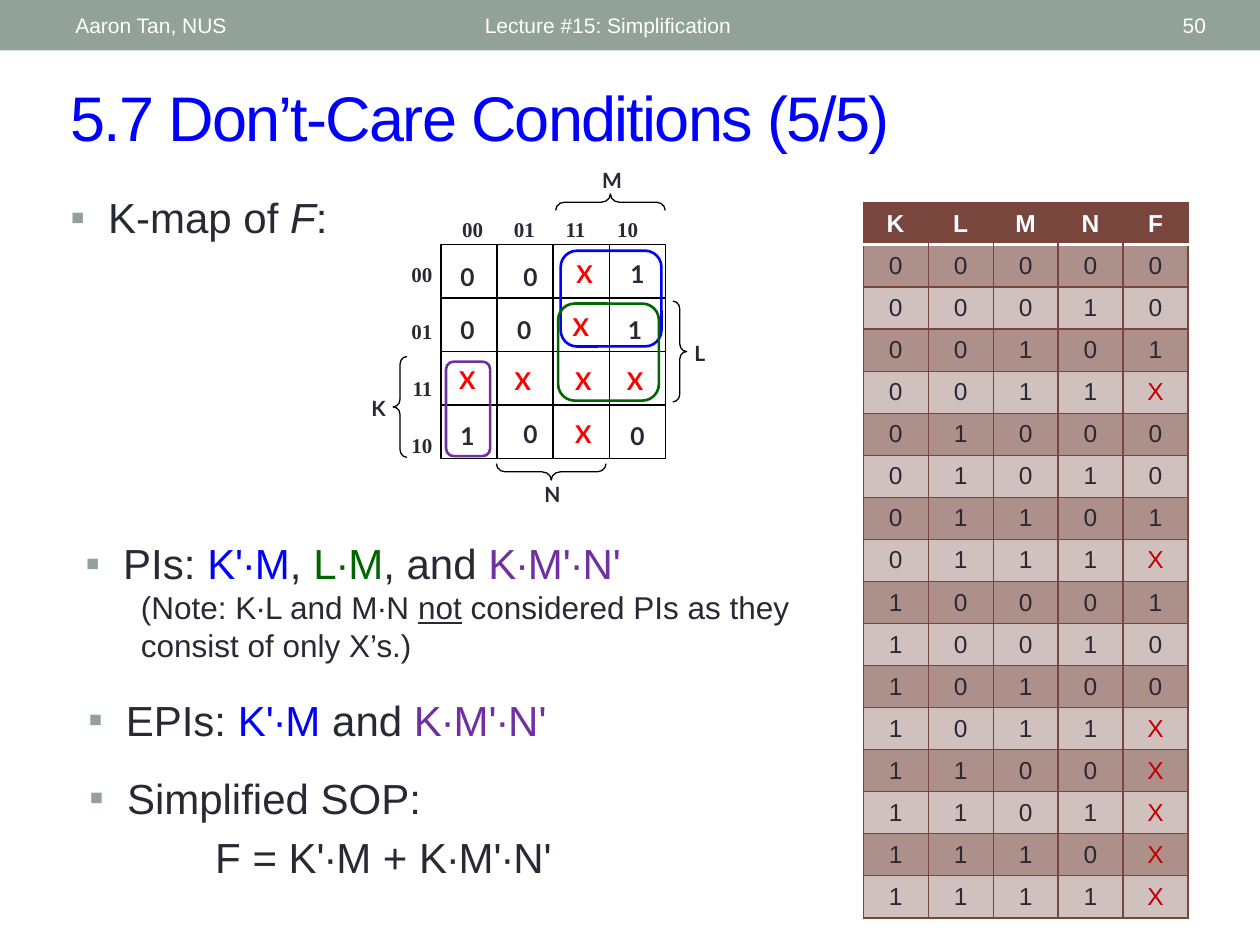
from itertools import product

from lxml import etree
from pptx import Presentation
from pptx.dml.color import RGBColor
from pptx.enum.shapes import MSO_CONNECTOR, MSO_SHAPE
from pptx.enum.text import MSO_ANCHOR, PP_ALIGN
from pptx.oxml import parse_xml
from pptx.oxml.ns import nsdecls, qn
from pptx.util import Inches, Pt

LEFT, CENTER, RIGHT = PP_ALIGN.LEFT, PP_ALIGN.CENTER, PP_ALIGN.RIGHT
TOP, MIDDLE = MSO_ANCHOR.TOP, MSO_ANCHOR.MIDDLE
RECTANGLE, ROUNDED, BRACE = MSO_SHAPE.RECTANGLE, MSO_SHAPE.ROUNDED_RECTANGLE, MSO_SHAPE.LEFT_BRACE
STRAIGHT = MSO_CONNECTOR.STRAIGHT
INK, WHITE, BLACK, SAGE, BROWN = "292934", "FFFFFF", "000000", "93A299", "79463D"
BLUE, GREEN, PURPLE, RED, DARK_RED = "0000FF", "006600", "7030A0", "FF0000", "C00000"
BAND_DARK, BAND_LIGHT = "AD908A", "D0C1BE"

prs = Presentation()
prs.slide_width, prs.slide_height = Inches(10), Inches(7.5)
slide = prs.slides.add_slide(prs.slide_layouts[6])
shapes = slide.shapes


def add_text(box, lines, size, font="Arial", align=LEFT, anchor=TOP, bold=False):
    frame = shapes.add_textbox(*map(Inches, box)).text_frame
    frame.word_wrap = True
    frame.vertical_anchor = anchor
    for number, segments in enumerate(lines):
        paragraph = frame.add_paragraph() if number else frame.paragraphs[0]
        paragraph.alignment = align
        for words, color in segments:
            run = paragraph.add_run()
            run.text = words
            run.font.size = Pt(size)
            run.font.name = font
            run.font.bold = bold
            run.font.color.rgb = RGBColor.from_string(color)
    return frame.paragraphs


def add_outline(kind, box, color, width, adjustment=None):
    outline = shapes.add_shape(kind, *map(Inches, box))
    outline.shadow.inherit = False
    outline.fill.background()
    outline.line.color.rgb = RGBColor.from_string(color)
    outline.line.width = Pt(width)
    if adjustment is not None:
        outline.adjustments[0] = adjustment
    return outline


header_bar = add_outline(RECTANGLE, (0, 0, 10, 0.4), SAGE, 0.75)
header_bar.fill.solid()
header_bar.fill.fore_color.rgb = RGBColor.from_string(SAGE)
header_bar.line.fill.background()
for words, left, width, align in [
    ("Aaron Tan, NUS", 0.5, 3.17, LEFT),
    ("Lecture #15: Simplification", 3.75, 4.5, LEFT),
    ("50", 8.72, 0.95, RIGHT),
]:
    add_text((left, 0.02, width, 0.36), [[(words, WHITE)]], 12, align=align, anchor=MIDDLE)

title = add_text((0.46, 0.57, 9.07, 0.7), [[("5.7 Don’t-Care Conditions (5/5)", BLUE)]], 36, anchor=MIDDLE)
title[0].runs[0].font._element.set("spc", "-100")

kmap_intro = add_text((0.46, 1.47, 3, 0.61), [[("K-map of ", INK), ("F", INK), (":", INK)]], 24)
kmap_intro[0].runs[1].font.italic = True
implicants = add_text((0.58, 4.22, 5.96, 1.25), [
    [("PIs: ", INK), ("K'∙M", BLUE), (", ", INK), ("L∙M", GREEN), (", and ", INK), ("K∙M'∙N'", PURPLE)],
    [("(Note: K∙L and M∙N ", INK), ("not", INK), (" considered PIs as they consist of only X’s.)", INK)],
], 24)
for run in implicants[1].runs:
    run.font.size = Pt(18)
implicants[1].runs[1].font.underline = True
implicants[1]._p.get_or_add_pPr().set("marL", str(Inches(0.44)))
essentials = add_text((0.6, 5.46, 5.69, 0.61), [
    [("EPIs: ", INK), ("K'∙M", BLUE), (" and ", INK), ("K∙M'∙N'", PURPLE)],
], 24)
simplified = add_text((0.61, 6.08, 5.69, 0.93), [
    [("Simplified SOP:", INK)], [("F = K'∙M + K∙M'∙N'", INK)],
], 24)
simplified[1].space_before = Pt(4.8)
simplified[1]._p.get_or_add_pPr().set("marL", str(Inches(1)))

for bulleted in (kmap_intro, implicants, essentials, simplified):
    properties = bulleted[0]._p.get_or_add_pPr()
    properties.set("marL", str(Inches(0.3)))
    properties.set("indent", str(Inches(-0.3)))
    bullet_color = etree.SubElement(properties, qn("a:buClr"))
    etree.SubElement(bullet_color, qn("a:srgbClr"), val=SAGE)
    etree.SubElement(properties, qn("a:buFont"), typeface="Arial")
    etree.SubElement(properties, qn("a:buChar"), char="▪")

outputs = "001X001X100XXXXX"
truth_rows = ["KLMNF"] + ["".join(bits) + out for bits, out in zip(product("01", repeat=4), outputs)]
truth_table = shapes.add_table(17, 5, Inches(6.85), Inches(1.61), Inches(2.58), Inches(5.1)).table
for r, values in enumerate(truth_rows):
    for c, value in enumerate(values):
        cell = truth_table.cell(r, c)
        cell.vertical_anchor = MIDDLE
        cell.fill.solid()
        band = BROWN if r == 0 else BAND_DARK if r % 2 else BAND_LIGHT
        cell.fill.fore_color.rgb = RGBColor.from_string(band)
        cell.text_frame.text = value
        paragraph = cell.text_frame.paragraphs[0]
        paragraph.alignment = CENTER
        font = paragraph.runs[0].font
        font.name, font.size, font.bold = "Arial", Pt(14), r == 0
        ink = WHITE if r == 0 else DARK_RED if value == "X" else INK
        font.color.rgb = RGBColor.from_string(ink)
        for position, side in enumerate("LRTB"):
            under_header = (r, side) in [(0, "B"), (1, "T")]
            color, width = (WHITE, 2.08) if under_header else (BROWN, 0.75)
            if r == 0 and (side == "L" and c > 0 or side == "R" and c < 4):
                width = 0
            cell._tc.get_or_add_tcPr().insert(position, parse_xml(
                f'<a:ln{side} {nsdecls("a")} w="{Pt(width)}"><a:solidFill>'
                f'<a:srgbClr val="{color}"/></a:solidFill></a:ln{side}>'))

map_left, map_top, map_width, map_height = 3.5, 1.94, 1.78, 1.7
kmap_frame = add_outline(RECTANGLE, (map_left, map_top, map_width, map_height), BLACK, 0.75)
for step in (1, 2, 3):
    x = map_left + step * map_width / 4
    y = map_top + step * map_height / 4
    for ends, sites in [
        ((x, map_top, x, map_top + map_height), (0, 2)),
        ((map_left, y, map_left + map_width, y), (1, 3)),
    ]:
        divider = shapes.add_connector(STRAIGHT, *map(Inches, ends))
        divider.line.color.rgb = RGBColor.from_string(BLACK)
        divider.line.width = Pt(0.75)
        etree.SubElement(divider._element.spPr, qn("a:effectLst"))
        if step == 2:
            divider.begin_connect(kmap_frame, sites[0])
            divider.end_connect(kmap_frame, sites[1])

for index, code in enumerate(["00", "01", "11", "10"]):
    add_text((3.57 + 0.41 * index, 1.67, 0.45, 0.34), [[(code, INK)]], 12, "Times New Roman", bold=True)
    add_text((3.09, 2.03 + 0.45 * index, 0.44, 0.3), [[(code, INK)]], 12, "Times New Roman", RIGHT, bold=True)

for value, left, top in [
    ("0", 3.49, 2.03), ("0", 3.99, 2.03), ("X", 4.42, 2.01), ("1", 4.84, 2.01),
    ("0", 3.49, 2.45), ("0", 3.94, 2.45), ("X", 4.39, 2.43), ("1", 4.82, 2.45),
    ("X", 3.49, 2.85), ("X", 3.93, 2.86), ("X", 4.41, 2.86), ("X", 4.82, 2.86),
    ("1", 3.49, 3.29), ("0", 3.99, 3.28), ("X", 4.41, 3.28), ("0", 4.84, 3.29),
]:
    color = RED if value == "X" else INK
    add_text((left, top, 0.44, 0.34), [[(value, color)]], 14, "Lato", CENTER, bold=True)

for variable, left, top, brace_box, rotation, flip in [
    ("K", 2.84, 3.09, (3.12, 2.83, 0.11, 0.8), 0, None),
    ("L", 5.39, 2.65, (5.34, 2.39, 0.11, 0.8), 0, "flipH"),
    ("M", 4.68, 1.28, (4.78, 1.17, 0.13, 0.87), 90, "flipV"),
    ("N", 4.22, 3.77, (4.31, 3.31, 0.13, 0.87), 270, None),
]:
    add_text((left, top, 0.33, 0.27), [[(variable, INK)]], 12, "Lato", CENTER, bold=True)
    brace = add_outline(BRACE, brace_box, BLACK, 0.75, 0.55)
    brace.rotation = rotation
    if flip:
        brace._element.spPr.find(qn("a:xfrm")).set(flip, "1")

for group_box, color in [
    ((4.45, 1.99, 0.8, 0.76), BLUE),
    ((3.54, 2.87, 0.35, 0.75), PURPLE),
    ((4.43, 2.41, 0.8, 0.77), GREEN),
]:
    add_outline(ROUNDED, group_box, color, 1.5, 0.17)

prs.save("out.pptx")
